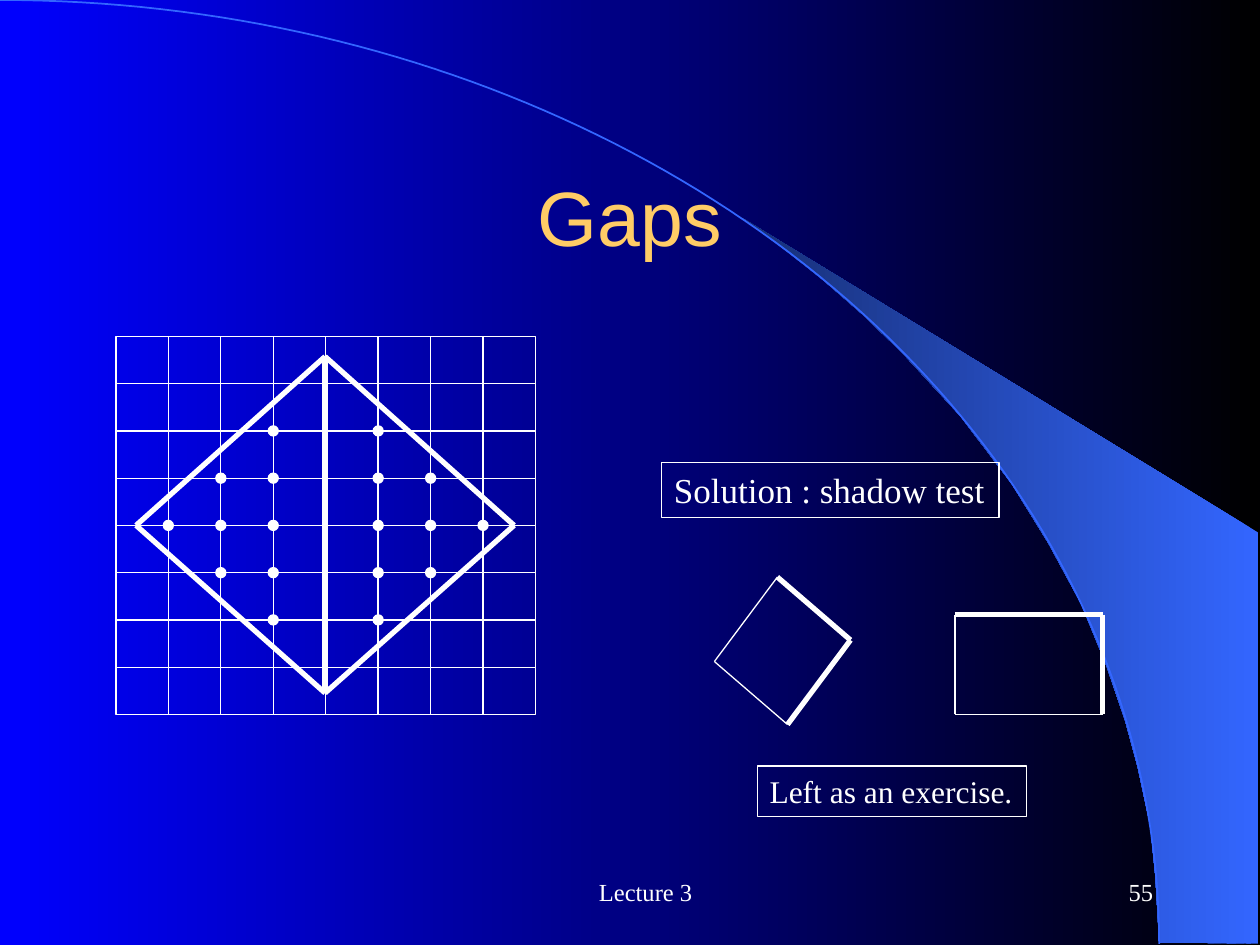
"""Build the "Gaps" slide: a rasterised diamond and the shadow test."""
from itertools import product
from math import cos, pi, sin

from lxml.etree import SubElement
from pptx import Presentation
from pptx.dml.color import RGBColor
from pptx.enum.shapes import MSO_CONNECTOR, MSO_SHAPE
from pptx.enum.text import MSO_ANCHOR, MSO_AUTO_SIZE, PP_ALIGN
from pptx.oxml.ns import qn
from pptx.util import Inches, Pt

WHITE = RGBColor(0xFF, 0xFF, 0xFF)
BLACK = RGBColor(0x00, 0x00, 0x00)
BLUE = RGBColor(0x00, 0x00, 0xFF)
SKY = RGBColor(0x33, 0x66, 0xFF)
NAVY = RGBColor(0x17, 0x2F, 0x75)
GOLD = RGBColor(0xFF, 0xCC, 0x66)
SERIF = "Times New Roman"
THIN, THICK = 0.75, 3

HORIZON_WIDTH, HORIZON_HEIGHT, HORIZON_STEPS = 9.2, 7.49, 90
GLOW = [(9.2, 7.48), (9.99, 7.49), (9.99, 4.23), (5.89, 1.73), (6.24, 1.99),
        (6.53, 2.22), (6.85, 2.5), (7.16, 2.8), (7.62, 3.3), (8.03, 3.84),
        (8.32, 4.31), (8.58, 4.79), (8.78, 5.28), (8.93, 5.72),
        (9.03, 6.09), (9.13, 6.56), (9.17, 6.96), (9.2, 7.48)]

GRID_LEFT, GRID_TOP, GRID_RIGHT, GRID_BOTTOM, CELLS = 0.92, 2.67, 4.25, 5.67, 8
CELL_WIDTH = (GRID_RIGHT - GRID_LEFT) / CELLS
CELL_HEIGHT = (GRID_BOTTOM - GRID_TOP) / CELLS
DOT = 0.08
DOT_REACH = 3

WEST, NORTH, EAST, SOUTH = (1.08, 4.17), (2.58, 2.83), (4.08, 4.17), (2.58, 5.5)
DIAMOND = [(WEST, NORTH), (WEST, SOUTH), (EAST, NORTH), (EAST, SOUTH), (NORTH, SOUTH)]
SHADOW_TESTS = [
    [(6.17, 4.58), (6.75, 5.08), (6.25, 5.75), (5.67, 5.25)],
    [(7.58, 4.88), (8.75, 4.88), (8.75, 5.67), (7.58, 5.67)],
]
SIDE_WEIGHTS = [THICK, THICK, THIN, THIN]

BOXED_NOTES = [
    ("Solution : shadow test", (5.25, 3.67, 2.68, 0.44), 20),
    ("Left as an exercise.", (6.01, 6.08, 2.14, 0.4), 18),
]
PLAIN_TEXTS = [
    ("Gaps", (0.75, 1.17, 8.5, 1.08), 44, "Arial", GOLD, PP_ALIGN.CENTER, 0),
    ("Lecture 3", (3.42, 6.83, 3.17, 0.5), 14, SERIF, WHITE, PP_ALIGN.CENTER, 0.24),
    ("55", (7.17, 6.83, 2.08, 0.5), 14, SERIF, WHITE, PP_ALIGN.RIGHT, 0.24),
]


def set_gradient(fill, right, left):
    fill.gradient()
    fill.gradient_angle = 180
    for stop, color in zip(fill.gradient_stops, (right, left)):
        stop.color.rgb = color


def set_line(line, weight, color=WHITE):
    line.color.rgb = color
    line.width = Pt(weight)


def add_outline(slide, points, close):
    start, *rest = [(Inches(x), Inches(y)) for x, y in points]
    builder = slide.shapes.build_freeform(*start)
    builder.add_line_segments(rest, close=close)
    outline = builder.convert_to_shape()
    outline.shadow.inherit = False
    return outline


def add_preset(slide, preset, place):
    shape = slide.shapes.add_shape(preset, *map(Inches, place))
    shape.shadow.inherit = False
    shape.fill.background()
    set_line(shape.line, THIN)
    return shape


def add_segment(slide, start, end, weight):
    segment = slide.shapes.add_connector(
        MSO_CONNECTOR.STRAIGHT, *map(Inches, start + end))
    set_line(segment.line, weight)
    SubElement(segment._element.spPr, qn("a:effectLst"))


def write(shape, text, size, font_name, color, align):
    paragraph = shape.text_frame.paragraphs[0]
    paragraph.text = text
    paragraph.alignment = align
    paragraph.font.size = Pt(size)
    paragraph.font.name = font_name
    paragraph.font.color.rgb = color
    return paragraph


def draw_backdrop(slide):
    set_gradient(slide.background.fill, BLACK, BLUE)
    glow = add_outline(slide, GLOW, True)
    set_gradient(glow.fill, SKY, NAVY)
    glow.line.fill.background()
    angles = [step * pi / 2 / HORIZON_STEPS for step in range(HORIZON_STEPS + 1)]
    horizon = add_outline(slide, [(HORIZON_WIDTH * sin(angle),
                                   HORIZON_HEIGHT * (1 - cos(angle)))
                                  for angle in angles], False)
    horizon.fill.background()
    set_line(horizon.line, 1, SKY)


def draw_grid(slide):
    for row, column in product(range(CELLS), repeat=2):
        add_preset(slide, MSO_SHAPE.RECTANGLE,
                   (GRID_LEFT + column * CELL_WIDTH, GRID_TOP + row * CELL_HEIGHT,
                    CELL_WIDTH, CELL_HEIGHT))
    for start, end in DIAMOND:
        add_segment(slide, start, end, THICK)


def draw_dots(slide):
    center_x = (GRID_LEFT + GRID_RIGHT) / 2
    center_y = (GRID_TOP + GRID_BOTTOM) / 2
    for row, column in product(range(-DOT_REACH, DOT_REACH + 1), repeat=2):
        if column and abs(row) + abs(column) <= DOT_REACH:
            dot = add_preset(slide, MSO_SHAPE.OVAL,
                             (center_x + column * CELL_WIDTH - DOT / 2,
                              center_y + row * CELL_HEIGHT - DOT / 2, DOT, DOT))
            dot.fill.solid()
            dot.fill.fore_color.rgb = WHITE


def draw_shadow_tests(slide):
    for corners in SHADOW_TESTS:
        next_corners = corners[1:] + corners[:1]
        for start, end, weight in zip(corners, next_corners, SIDE_WEIGHTS):
            add_segment(slide, start, end, weight)


def draw_texts(slide):
    for text, place, size, font_name, color, align, indent in PLAIN_TEXTS:
        box = slide.shapes.add_textbox(*map(Inches, place))
        box.text_frame.word_wrap = True
        box.text_frame.vertical_anchor = MSO_ANCHOR.MIDDLE
        paragraph = write(box, text, size, font_name, color, align)
        paragraph._p.get_or_add_pPr().set("marL", str(Inches(indent)))
    for text, place, size in BOXED_NOTES:
        note = slide.shapes.add_textbox(*map(Inches, place))
        set_line(note.line, THIN)
        note.text_frame.word_wrap = False
        note.text_frame.auto_size = MSO_AUTO_SIZE.SHAPE_TO_FIT_TEXT
        note.text_frame.vertical_anchor = MSO_ANCHOR.TOP
        write(note, text, size, SERIF, WHITE, PP_ALIGN.LEFT)


def main():
    presentation = Presentation()
    presentation.slide_width, presentation.slide_height = Inches(10), Inches(7.5)
    slide = presentation.slides.add_slide(presentation.slide_layouts[6])
    draw_backdrop(slide)
    draw_grid(slide)
    draw_shadow_tests(slide)
    draw_dots(slide)
    draw_texts(slide)
    presentation.save("out.pptx")


if __name__ == "__main__":
    main()
